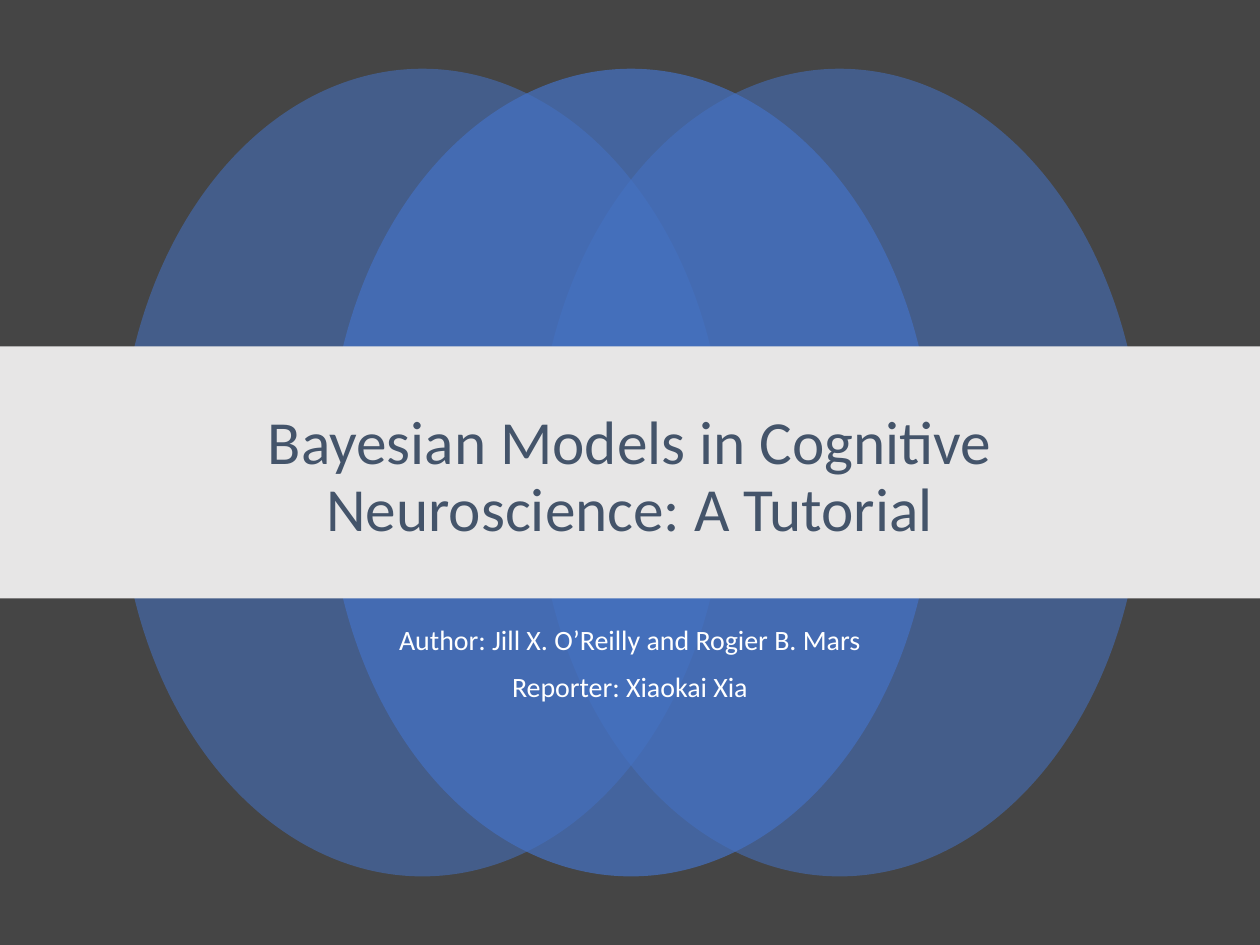
from lxml.etree import SubElement
from pptx import Presentation
from pptx.dml.color import RGBColor
from pptx.enum.shapes import MSO_SHAPE
from pptx.enum.text import MSO_ANCHOR, PP_ALIGN
from pptx.oxml.ns import qn
from pptx.util import Pt

COLORS = {
    "background": "454545",
    "ellipse": "4472C4",
    "band": "E7E6E6",
    "title": "44546A",
    "subtitle": "FFFFFF",
}
FONT = "Calibri"


def color(name):
    return RGBColor.from_string(COLORS[name])


def add_filled_shape(shapes, kind, box, color_name):
    shape = shapes.add_shape(kind, *(Pt(length) for length in box))
    shape.shadow.inherit = False
    shape.fill.solid()
    shape.fill.fore_color.rgb = color(color_name)
    shape.line.fill.background()
    return shape


def set_opacity(shape, percent):
    color_element = shape._element.spPr.find(qn("a:solidFill"))[0]
    SubElement(color_element, qn("a:alpha"), val=str(percent * 1000))


def add_ellipses(slide, box):
    """Three overlapping ellipses spread evenly over the box, the middle one in front."""
    left, top, width, height = box
    ellipse_width = 346.3
    step = (width - ellipse_width) / 2
    group = slide.shapes.add_group_shape()
    for position, opacity in ((0, 55), (2, 55), (1, 70)):
        ellipse_box = (left + position * step, top, ellipse_width, height)
        ellipse = add_filled_shape(group.shapes, MSO_SHAPE.OVAL, ellipse_box, "ellipse")
        set_opacity(ellipse, opacity)


def add_centered_text(slide, box, lines, size, color_name, anchor, space_before=0):
    text_box = slide.shapes.add_textbox(*(Pt(length) for length in box))
    frame = text_box.text_frame
    frame.word_wrap = True
    frame.vertical_anchor = anchor
    for index, line in enumerate(lines):
        paragraph = frame.add_paragraph() if index else frame.paragraphs[0]
        paragraph.alignment = PP_ALIGN.CENTER
        paragraph.line_spacing = 0.9
        paragraph.space_before = Pt(space_before)
        run = paragraph.add_run()
        run.text = line
        run.font.name = FONT
        run.font.size = Pt(size)
        run.font.color.rgb = color(color_name)


def add_title_band(slide, box):
    left, top, width, height = box
    add_filled_shape(slide.shapes, MSO_SHAPE.RECTANGLE, box, "band")
    add_centered_text(
        slide, (left + 90, top + 20.9, width - 180, 108.7),
        ["Bayesian Models in Cognitive Neuroscience: A Tutorial"],
        35, "title", MSO_ANCHOR.MIDDLE)


def add_subtitle(slide, box):
    add_centered_text(
        slide, box,
        ["Author: Jill X. O’Reilly and Rogier B. Mars", "Reporter: Xiaokai Xia"],
        16, "subtitle", MSO_ANCHOR.TOP, space_before=10)


def main():
    presentation = Presentation()
    presentation.slide_width = Pt(720)
    presentation.slide_height = Pt(540)
    slide = presentation.slides.add_slide(presentation.slide_layouts[6])
    slide.background.fill.solid()
    slide.background.fill.fore_color.rgb = color("background")

    add_ellipses(slide, (68.2, 39.3, 584.7, 461.5))
    add_title_band(slide, (0, 198, 720, 144))
    add_subtitle(slide, (90, 354.2, 540, 59.8))
    presentation.save("out.pptx")


if __name__ == "__main__":
    main()
